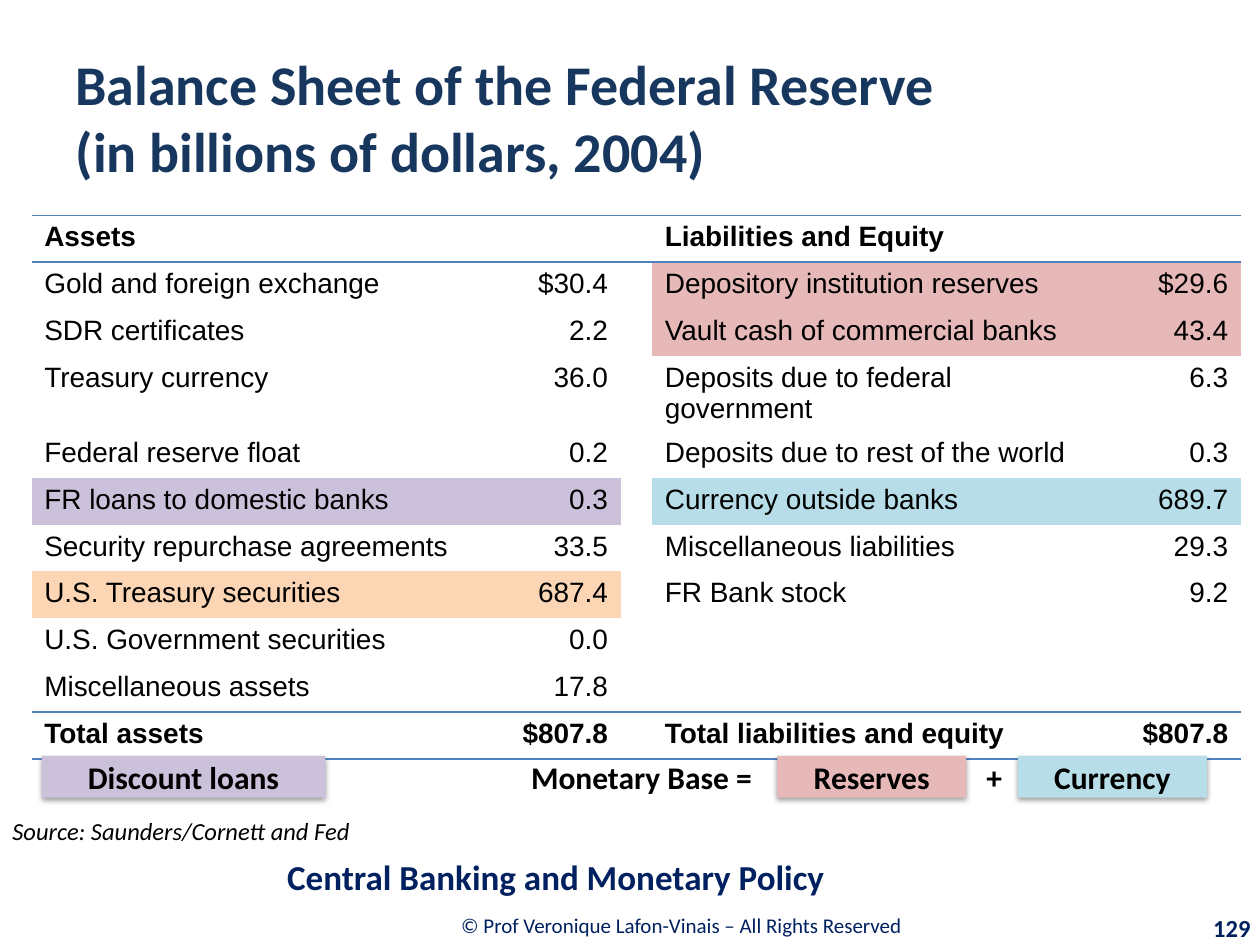
import dataclasses

import lxml.etree
import pptx
import pptx.dml.color
import pptx.enum.shapes
import pptx.enum.text
import pptx.oxml.ns
import pptx.util

Cm = pptx.util.Cm
Align = pptx.enum.text.PP_ALIGN
qn = pptx.oxml.ns.qn
NO_STYLE = "{2D5ABB26-0587-4C30-8999-92F81FD0307C}"


@dataclasses.dataclass(frozen=True)
class Theme:
    heading_font: str = "Calibri"
    table_font: str = "Arial"
    black: str = "000000"
    navy: str = "002060"
    title_blue: str = "17375E"
    rule: str = "4F81BD"
    reserves: str = "E6B9B8"
    currency: str = "B7DEE8"
    loans: str = "CCC1DA"
    securities: str = "FCD5B5"
    title_size: int = 32
    section_size: int = 20
    label_size: int = 18
    table_size: int = 16
    note_size: int = 14
    footer_size: int = 12


def rgb(value):
    return pptx.dml.color.RGBColor.from_string(value)


class SlideBuilder:
    """Holds the theme and the current slide."""

    def __init__(self, slide, theme):
        self.slide = slide
        self.theme = theme

    def add_span(self, frame, text, size, color, align=Align.LEFT, **formats):
        para = frame.paragraphs[0]
        para.alignment = align
        span = para.add_run()
        span.text = text
        values = {"name": self.theme.heading_font, "size": pptx.util.Pt(size), **formats}
        for name, value in values.items():
            setattr(span.font, name, value)
        span.font.color.rgb = rgb(color)

    def title(self, lines, left, top, width, height):
        box = self.slide.shapes.title
        for name, value in dict(left=left, top=top, width=width, height=height).items():
            setattr(box, name, Cm(value))
        frame = box.text_frame
        frame.vertical_anchor = pptx.enum.text.MSO_ANCHOR.MIDDLE
        for index, line in enumerate(lines):
            if index:
                frame.paragraphs[0].add_line_break()
            self.add_span(frame, line, self.theme.title_size, self.theme.title_blue, bold=True)

    def text(self, text, place, size, color, **formats):
        box = self.slide.shapes.add_textbox(*map(Cm, place))
        frame = box.text_frame
        frame.word_wrap = True
        frame.vertical_anchor = pptx.enum.text.MSO_ANCHOR.MIDDLE
        self.add_span(frame, text, size, color, **formats)

    def label(self, text, place, fill):
        box = self.slide.shapes.add_shape(
            pptx.enum.shapes.MSO_SHAPE.RECTANGLE, *map(Cm, place))
        box.fill.solid()
        box.fill.fore_color.rgb = rgb(fill)
        box.line.fill.background()
        box.shadow.inherit = False
        effects = box.element.spPr.find(qn("a:effectLst"))
        shadow = lxml.etree.SubElement(effects, qn("a:outerShdw"), blurRad="40000",
                                       dist="20000", dir="5400000", rotWithShape="0")
        color = lxml.etree.SubElement(shadow, qn("a:srgbClr"), val=self.theme.black)
        lxml.etree.SubElement(color, qn("a:alpha"), val="38000")
        box.text_frame.vertical_anchor = pptx.enum.text.MSO_ANCHOR.MIDDLE
        self.add_span(box.text_frame, text, self.theme.label_size, self.theme.black,
                      Align.CENTER, bold=True)

    def rule_cell(self, cell):
        properties = cell._tc.get_or_add_tcPr()
        for position, side in enumerate(("a:lnT", "a:lnB")):
            line = lxml.etree.Element(qn(side), w="12700")
            fill = lxml.etree.SubElement(line, qn("a:solidFill"))
            lxml.etree.SubElement(fill, qn("a:srgbClr"), val=self.theme.rule)
            properties.insert(position, line)

    def table(self, rows, fills, left, top, columns, row_height):
        frame = self.slide.shapes.add_table(
            len(rows), len(columns), Cm(left), Cm(top),
            Cm(sum(columns)), Cm(row_height * len(rows)))
        table = frame.table
        table._tbl.tblPr.find(qn("a:tableStyleId")).text = NO_STYLE
        table.first_row = table.horz_banding = False
        for column, width in zip(table.columns, columns):
            column.width = Cm(width)
        for r, values in enumerate(rows):
            table.rows[r].height = Cm(row_height)
            ruled = r in (0, len(rows) - 1)
            for c, value in enumerate(values):
                cell = table.cell(r, c)
                fill = fills.get((r, c // 3))
                if fill and c != 2:
                    cell.fill.solid()
                    cell.fill.fore_color.rgb = rgb(fill)
                else:
                    cell.fill.background()
                if ruled:
                    self.rule_cell(cell)
                if value:
                    self.add_span(cell.text_frame, value, self.theme.table_size,
                                  self.theme.black, Align.RIGHT if c in (1, 4) else Align.LEFT,
                                  name=self.theme.table_font, bold=ruled)
                else:
                    # Empty cells keep the table size so rows stay even
                    lxml.etree.SubElement(cell.text_frame.paragraphs[0]._p,
                                          qn("a:endParaRPr"),
                                          sz=str(self.theme.table_size * 100))
        for c in (0, 3):
            table.cell(0, c).merge(table.cell(0, c + 1))


ASSETS = [
    ("Assets", ""),
    ("Gold and foreign exchange", "$30.4"),
    ("SDR certificates", "2.2"),
    ("Treasury currency", "36.0"),
    ("Federal reserve float", "0.2"),
    ("FR loans to domestic banks", "0.3"),
    ("Security repurchase agreements", "33.5"),
    ("U.S. Treasury securities", "687.4"),
    ("U.S. Government securities", "0.0"),
    ("Miscellaneous assets", "17.8"),
    ("Total assets", "$807.8"),
]
LIABILITIES = [
    ("Liabilities and Equity", ""),
    ("Depository institution reserves", "$29.6"),
    ("Vault cash of commercial banks", "43.4"),
    ("Deposits due to federal government", "6.3"),
    ("Deposits due to rest of the world", "0.3"),
    ("Currency outside banks", "689.7"),
    ("Miscellaneous liabilities", "29.3"),
    ("FR Bank stock", "9.2"),
    ("", ""),
    ("", ""),
    ("Total liabilities and equity", "$807.8"),
]


def main():
    deck = pptx.Presentation()
    deck.slide_width, deck.slide_height = Cm(25.4), Cm(19.05)
    theme = Theme()
    page = SlideBuilder(deck.slides.add_slide(deck.slide_layouts[5]), theme)

    # Title
    page.title(["Balance Sheet of the Federal Reserve", "(in billions of dollars, 2004)"],
               1.27, 0.76, 22.86, 3.18)

    # Balance sheet; fills are keyed by row and side (0 assets, 1 liabilities)
    rows = [(*asset, "", *liability) for asset, liability in zip(ASSETS, LIABILITIES)]
    fills = {(1, 1): theme.reserves, (2, 1): theme.reserves, (5, 0): theme.loans,
             (5, 1): theme.currency, (7, 0): theme.securities}
    page.table(rows, fills, 0.64, 4.34, [8.69, 3.18, 0.64, 8.89, 2.97], 0.64)

    # Colour key and monetary base formula
    key_top, key_height = 15.24, 0.84
    for text, left, width, fill in [
        ("Discount loans", 0.84, 5.72, theme.loans),
        ("Reserves", 15.67, 3.81, theme.reserves),
        ("Currency", 20.52, 3.81, theme.currency),
    ]:
        page.label(text, (left, key_top, width, key_height), fill)
    for text, left, width in [("+", 18.14, 3.81), ("Monetary Base = ", 9.73, 6.55)]:
        page.text(text, (left, key_top, width, key_height), theme.label_size,
                  theme.black, align=Align.CENTER, bold=True)

    # Source, section name and footer
    page.text("Source: Saunders/Cornett and Fed", (0, 16.31, 9.32, 0.86),
              theme.note_size, theme.black, italic=True)
    page.text("Central Banking and Monetary Policy", (5.54, 17.07, 19.86, 1.19),
              theme.section_size, theme.navy, bold=True)
    page.text("© Prof Veronique Lafon-Vinais – All Rights Reserved ",
              (5.56, 18.16, 16.46, 0.99), theme.footer_size, theme.navy, align=Align.CENTER)
    page.text("129", (22.89, 18.29, 2.57, 0.81), theme.note_size, theme.navy,
              align=Align.RIGHT, bold=True)

    deck.save("out.pptx")


if __name__ == "__main__":
    main()
